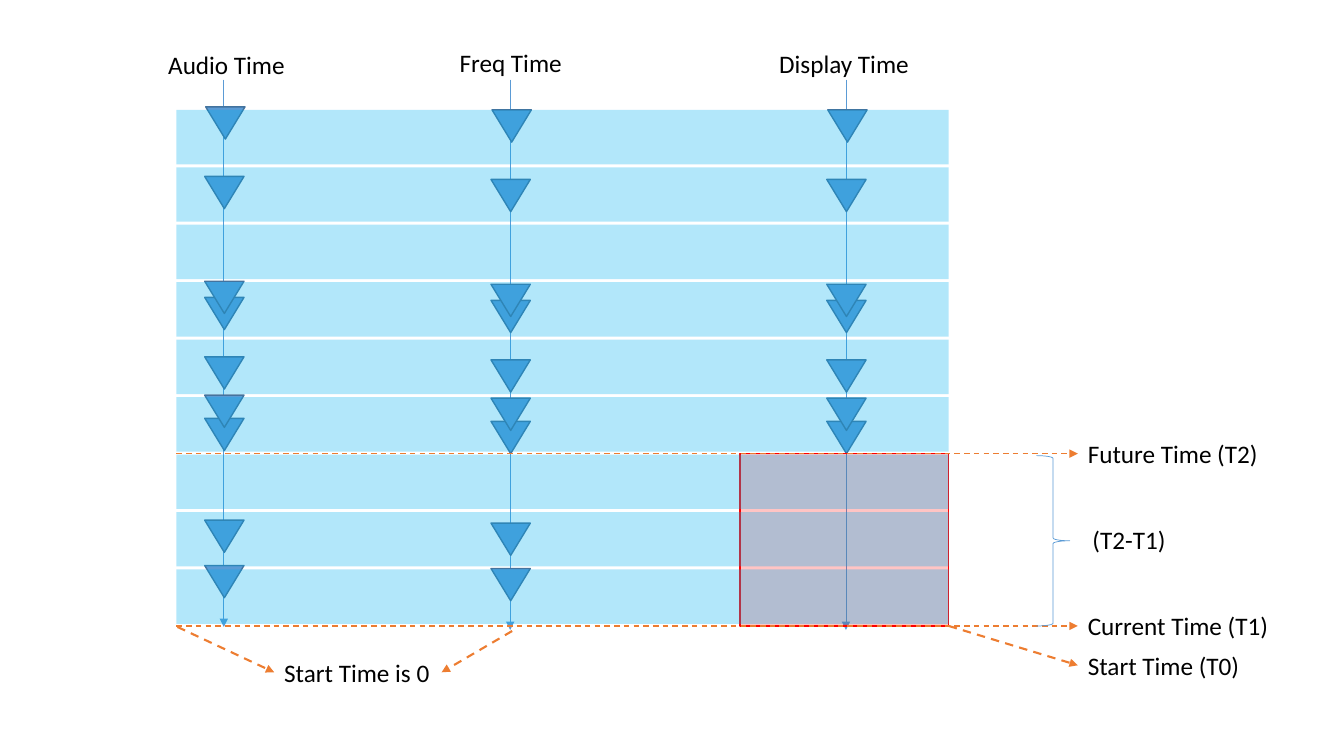
import pptx
import pptx.util
import pptx.dml.color
import pptx.enum.dml
import pptx.enum.shapes
import pptx.enum.text
import pptx.oxml
import pptx.oxml.ns

Inches = pptx.util.Inches
Pt = pptx.util.Pt
KIND = pptx.enum.shapes.MSO_SHAPE

COLORS = {
    "blue": "5B9BD5",
    "edge": "43739E",
    "band": "00B0F0",
    "red": "FF0000",
    "orange": "ED7D31",
    "ink": "000000",
}
LEFT, RIGHT = 1.75, 9.41
FUTURE, CURRENT = 4.5, 6.21
MARKS = [1.09, 1.78, 2.82, 2.98, 3.57, 3.95, 4.18, 5.19, 5.64]


def color(name):
    return pptx.dml.color.RGBColor.from_string(COLORS[name])


def node(parent, tag, **attrs):
    item = pptx.oxml.parse_xml(f"<{tag} {pptx.oxml.ns.nsdecls('a')}/>")
    for key, value in attrs.items():
        item.set(key, value)
    parent.append(item)


def shape(slide, kind, x, y, w, h, fill=None, line=None, width=1, alpha=None):
    """Add a preset shape; alpha is the fill's opacity in percent."""
    item = slide.shapes.add_shape(kind, Inches(x), Inches(y), Inches(w), Inches(h))
    item.shadow.inherit = False
    if fill:
        item.fill.solid()
        item.fill.fore_color.rgb = color(fill)
        if alpha:
            tone = item.fill._xPr.find(".//" + pptx.oxml.ns.qn("a:srgbClr"))
            node(tone, "a:alpha", val=str(alpha * 1000))
    else:
        item.fill.background()
    if line:
        item.line.color.rgb = color(line)
        item.line.width = Pt(width)
    else:
        item.line.fill.background()
    return item


def arrow(slide, start, end, line="orange", width=1.0, dash=True, goal=None, side=1):
    """Add an arrow, joined to the given side of goal if there is one."""
    item = slide.shapes.add_connector(
        pptx.enum.shapes.MSO_CONNECTOR.STRAIGHT, *map(Inches, start + end))
    item.line.color.rgb = color(line)
    item.line.width = Pt(width)
    if dash:
        item.line.dash_style = pptx.enum.dml.MSO_LINE.DASH
    node(item.line._get_or_add_ln(), "a:tailEnd", type="triangle")
    node(item._element.spPr, "a:effectLst")
    if goal is not None:
        item.end_connect(goal, side)


def label(slide, text, x, y, w, size=18, font="Calibri", ink="ink"):
    box = slide.shapes.add_textbox(Inches(x), Inches(y), Inches(w), Inches(0.4))
    frame = box.text_frame
    frame.word_wrap = False
    frame.auto_size = pptx.enum.text.MSO_AUTO_SIZE.SHAPE_TO_FIT_TEXT
    run = frame.paragraphs[0].add_run()
    run.text = text
    run.font.size = Pt(size)
    run.font.name = font
    run.font.color.rgb = color(ink)
    return box


def track(slide, x, shift, marks):
    """Add a downward time line with its event marks, lowest first."""
    arrow(slide, (x, 0.79), (x, 6.25 + shift), "blue", 0.5, dash=False)
    for y in reversed(marks):
        nudge = 0.01 if y == marks[0] else 0
        mark = shape(slide, KIND.ISOSCELES_TRIANGLE, x - 0.19 + nudge, y + shift,
                     0.39, 0.32, "blue", "edge")
        mark.rotation = 180


def main():
    deck = pptx.Presentation()
    deck.slide_width, deck.slide_height = Inches(13.33), Inches(7.5)
    slide = deck.slides.add_slide(deck.slide_layouts[6])

    track(slide, 5.06, 0, MARKS)
    track(slide, 8.39, 0, MARKS[:-2])
    shape(slide, KIND.RECTANGLE, 7.34, FUTURE, 2.07, CURRENT - FUTURE,
          "red", "red", alpha=23)
    for text, y, w in (("Future Time (T2)", FUTURE, 1.91),
                       ("Current Time (T1)", CURRENT, 2.01)):
        name = label(slide, text, 10.69, y - 0.2, w)
        arrow(slide, (LEFT, y), (10.69, y), goal=name)
    track(slide, 2.22, -0.03, MARKS)
    for text, x, y, w in (("Audio Time", 1.57, 0.44, 1.37),
                          ("Freq Time", 4.46, 0.42, 1.23),
                          ("Display Time", 7.63, 0.43, 1.5),
                          (" (T2-T1)", 10.68, 5.15, 0.99)):
        label(slide, text, x, y, w)
    shape(slide, KIND.RIGHT_BRACE, 10.28, 4.52, 0.33, 1.69, line="blue", width=0.5)

    for row in range(9):
        shape(slide, KIND.RECTANGLE, LEFT, 1.09 + 0.57 * row, RIGHT - LEFT, 0.54,
              "band", alpha=30)

    start = label(slide, "Start Time (T0)", 10.69, 6.4, 1.72)
    arrow(slide, (RIGHT, CURRENT), (10.69, 6.6), width=1.5, goal=start)
    zero = label(slide, "Start Time is 0", 2.72, 6.47, 1.66)
    arrow(slide, (1.76, 6.22), (2.72, 6.67), width=1.5, goal=zero)
    arrow(slide, (5.08, 6.26), (4.38, 6.67), width=1.5, goal=zero, side=3)

    deck.save("out.pptx")


if __name__ == "__main__":
    main()
